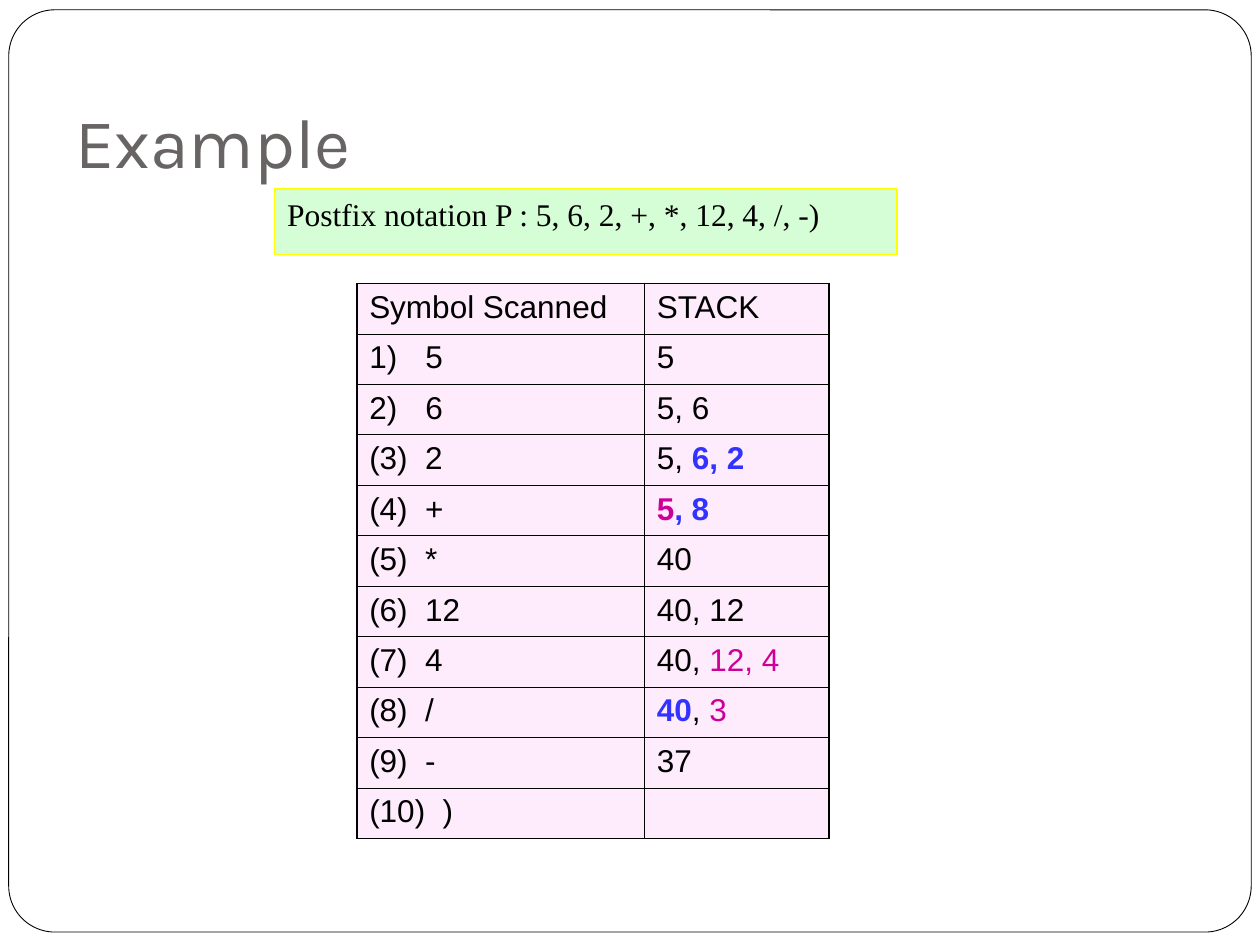
from pptx import Presentation
from pptx.dml.color import RGBColor
from pptx.enum.shapes import MSO_SHAPE
from pptx.enum.text import MSO_ANCHOR, PP_ALIGN
from pptx.oxml.ns import qn
from pptx.util import Pt
from lxml import etree

ROUNDED = MSO_SHAPE.ROUNDED_RECTANGLE
RECTANGLE = MSO_SHAPE.RECTANGLE
TOP, BOTTOM = MSO_ANCHOR.TOP, MSO_ANCHOR.BOTTOM
LEFT = PP_ALIGN.LEFT

BLACK, WHITE, GRAY = "000000", "FFFFFF", "696464"
BLUE, MAGENTA = "3333FF", "CC0099"
GREEN, YELLOW, PINK = "D6FED6", "FFFF00", "FEECFC"
OUTER_LINE, INNER_LINE = 1.08, 0.45
ROW_HEIGHT = 28.8
COLUMN_WIDTHS = (164.3, 105.7)

# Each step: symbol text, then stack runs as (text, colour, bold)
STEPS = [
    ("Symbol Scanned", [("STACK", BLACK, False)]),
    (" 5", [("5", BLACK, False)]),
    (" 6", [("5, 6", BLACK, False)]),
    ("(3)  2", [("5, ", BLACK, False), ("6, 2", BLUE, True)]),
    ("(4)  +", [("5", MAGENTA, True), (", 8", BLUE, True)]),
    ("(5)  *", [("40", BLACK, False)]),
    ("(6)  12", [("40, 12", BLACK, False)]),
    ("(7)  4", [("40, ", BLACK, False), ("12, 4", MAGENTA, False)]),
    ("(8)  /", [("40", BLUE, True), (", ", BLACK, False), ("3", MAGENTA, False)]),
    ("(9)  -", [("37", BLACK, False)]),
    ("(10)  )", []),
]
NUMBERED_ROWS = (1, 2)


def color(value):
    return RGBColor.from_string(value)


def paint(target, value):
    target.fill.solid()
    target.fill.fore_color.rgb = color(value)


def add_run(para, text, font, size, value, bold=False):
    span = para.add_run()
    span.text = text
    span.font.name = font
    span.font.size = Pt(size)
    span.font.bold = bold
    span.font.color.rgb = color(value)


def set_hanging(para, indent):
    properties = para._p.get_or_add_pPr()
    properties.set("marL", str(Pt(indent)))
    properties.set("indent", str(-Pt(indent)))
    return properties


def set_number(para, start):
    properties = set_hanging(para, 27)
    number = etree.SubElement(properties, qn("a:buAutoNum"))
    number.set("type", "arabicParenR")
    number.set("startAt", str(start))


def add_panel(page, kind, left, top, width, height, fill, line, weight):
    panel = page.shapes.add_shape(kind, Pt(left), Pt(top), Pt(width), Pt(height))
    panel.shadow.inherit = False
    paint(panel, fill)
    panel.line.color.rgb = color(line)
    panel.line.width = Pt(weight)
    return panel


def add_title(page, text):
    box = page.shapes.add_textbox(Pt(36), Pt(21.6), Pt(648), Pt(90))
    frame = box.text_frame
    frame.word_wrap = True
    frame.vertical_anchor = BOTTOM
    frame.margin_bottom = Pt(7.2)
    add_run(frame.paragraphs[0], text, "Karla", 40, GRAY)


def add_notation(page, text):
    box = add_panel(page, RECTANGLE, 157, 108, 355.7, 37.5, GREEN, YELLOW, 0.75)
    frame = box.text_frame
    frame.word_wrap = True
    frame.vertical_anchor = TOP
    para = frame.paragraphs[0]
    para.alignment = LEFT
    para.space_before = Pt(5.8)
    set_hanging(para, 21.6)
    add_run(para, text, "Times New Roman", 18, BLACK)


def set_borders(cell, weights):
    properties = cell._tc.get_or_add_tcPr()
    for side, weight in zip("LRTB", weights):
        line = etree.SubElement(properties, qn("a:ln" + side), w=str(Pt(weight)))
        fill = etree.SubElement(line, qn("a:solidFill"))
        etree.SubElement(fill, qn("a:srgbClr"), val=BLACK)


def fill_cell(cell, runs, start=None):
    para = cell.text_frame.paragraphs[0]
    para.font.size = Pt(18)
    para.space_before = Pt(4.5)
    if start:
        set_number(para, start)
    for text, value, bold in runs:
        add_run(para, text, "Arial", 18, value, bold)


def add_stack_table(page):
    count = len(STEPS)
    frame = page.shapes.add_table(count, 2, Pt(203.8), Pt(162),
                                  Pt(sum(COLUMN_WIDTHS)), Pt(ROW_HEIGHT * count))
    table = frame.table
    table.first_row = table.horz_banding = False
    for column, width in zip(table.columns, COLUMN_WIDTHS):
        column.width = Pt(width)
    for row, (symbol, stack) in enumerate(STEPS):
        table.rows[row].height = Pt(ROW_HEIGHT)
        for column, runs in enumerate(([(symbol, BLACK, False)], stack)):
            cell = table.cell(row, column)
            on_edge = (column == 0, column == 1, row == 0, row == count - 1)
            set_borders(cell, [OUTER_LINE if edge else INNER_LINE for edge in on_edge])
            paint(cell, PINK)
            numbered = column == 0 and row in NUMBERED_ROWS
            fill_cell(cell, runs, row if numbered else None)


def main():
    deck = Presentation()
    deck.slide_width, deck.slide_height = Pt(720), Pt(540)
    page = deck.slides.add_slide(deck.slide_layouts[6])

    # Rounded page frame
    border = add_panel(page, ROUNDED, 5, 5.6, 710, 527, WHITE, BLACK, 0.5)
    border.adjustments[0] = 0.05

    # Heading, expression and evaluation steps
    add_title(page, "Example")
    add_notation(page, "Postfix notation P : 5, 6, 2, +, *, 12, 4, /, -)")
    add_stack_table(page)
    deck.save("out.pptx")


if __name__ == "__main__":
    main()
